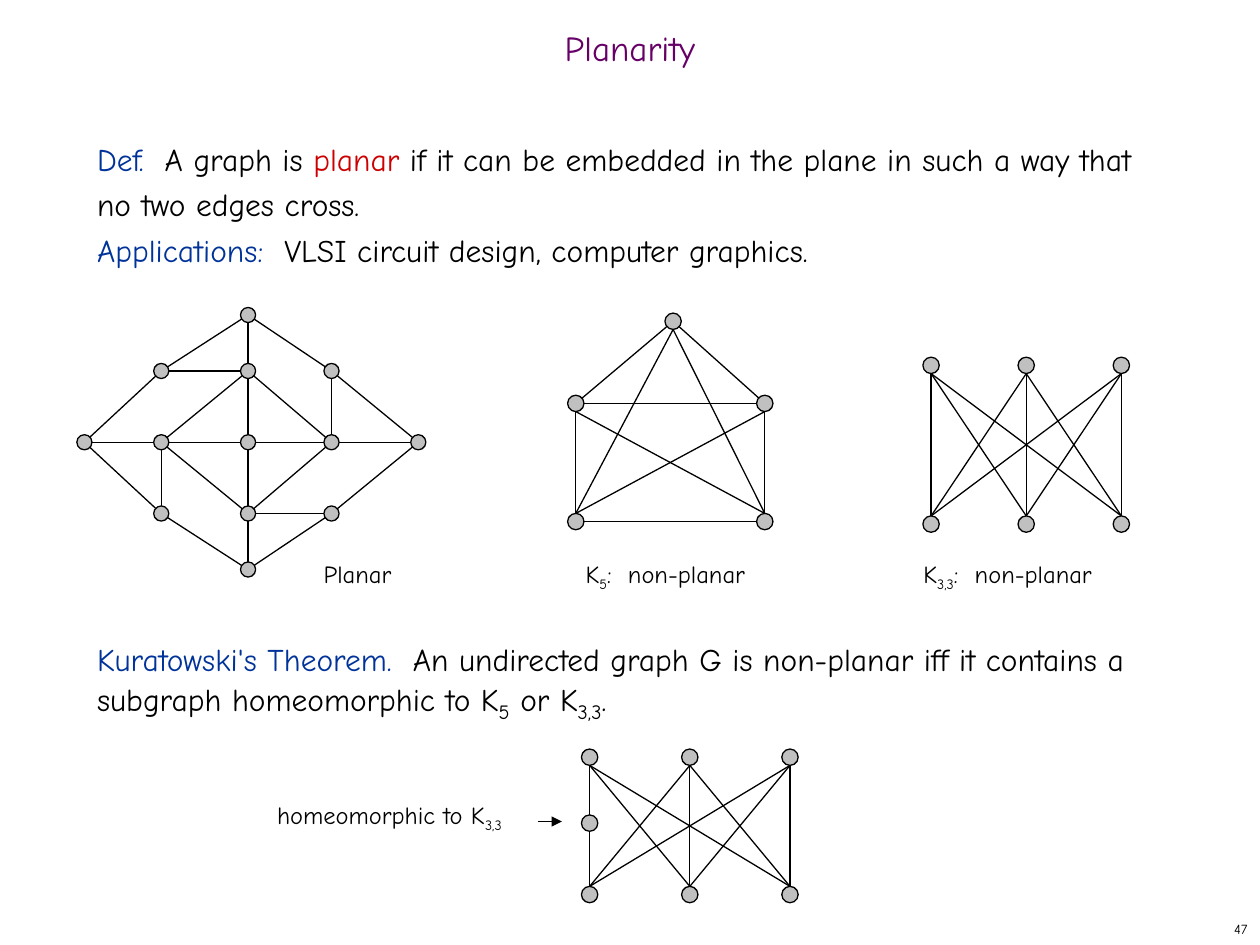
from dataclasses import dataclass
from itertools import product
from math import hypot

from lxml import etree
from pptx import Presentation
from pptx.dml.color import RGBColor
from pptx.enum.shapes import MSO_CONNECTOR, MSO_SHAPE
from pptx.enum.text import MSO_ANCHOR, MSO_AUTO_SIZE, PP_ALIGN
from pptx.oxml.ns import qn
from pptx.util import Inches, Pt

STRAIGHT = MSO_CONNECTOR.STRAIGHT
OVAL = MSO_SHAPE.OVAL
TOP, MIDDLE = MSO_ANCHOR.TOP, MSO_ANCHOR.MIDDLE
LEFT, CENTER, RIGHT = PP_ALIGN.LEFT, PP_ALIGN.CENTER, PP_ALIGN.RIGHT


@dataclass(frozen=True)
class Theme:
    font: str = "Comic Neue"
    ink: str = "000000"
    heading: str = "660066"
    term: str = "003399"
    accent: str = "CC0000"
    node: str = "C0C0C0"
    title_size: int = 20
    body_size: int = 18
    label_size: int = 14
    number_size: int = 8
    line_width: float = 0.75


THEME = Theme()


def set_box(shape, box):
    shape.left, shape.top, shape.width, shape.height = map(Inches, box)


def prepare_frame(frame, anchor=TOP):
    frame.word_wrap = True
    frame.auto_size = MSO_AUTO_SIZE.NONE
    frame.vertical_anchor = anchor


def add_span(para, text, size, color=THEME.ink, subscript=False):
    span = para.add_run()
    span.text = text
    span.font.name = THEME.font
    span.font.size = Pt(size)
    span.font.color.rgb = RGBColor.from_string(color)
    if subscript:
        span.font._element.set("baseline", "-25000")


def add_title(page, box, text):
    title = page.shapes.title
    set_box(title, box)
    prepare_frame(title.text_frame, MIDDLE)
    para = title.text_frame.paragraphs[0]
    para.alignment, para.line_spacing = CENTER, 0.7
    add_span(para, text, THEME.title_size, THEME.heading)


def add_body(page, box, items):
    """Each item is the space before it in points, then its spans."""
    body = page.placeholders[1]
    set_box(body, box)
    frame = body.text_frame
    prepare_frame(frame)
    for index, (space, spans) in enumerate(items):
        para = frame.add_paragraph() if index else frame.paragraphs[0]
        para.alignment, para.line_spacing = LEFT, Pt(26)
        para.space_before = Pt(space)
        properties = para._p.get_or_add_pPr()
        properties.set("marL", "0")
        properties.set("indent", "0")
        etree.SubElement(properties, qn("a:buNone"))
        for span in spans:
            add_span(para, *span)


def add_label(page, box, spans, align=LEFT, anchor=TOP, space=8.8):
    frame = page.shapes.add_textbox(*map(Inches, box)).text_frame
    prepare_frame(frame, anchor)
    para = frame.paragraphs[0]
    para.alignment, para.space_before = align, Pt(space)
    for span in spans:
        add_span(para, *span)


def add_line(shapes, start, end, arrow=False):
    line = shapes.add_connector(STRAIGHT, *map(Inches, (*start, *end)))
    line.line.color.rgb = RGBColor.from_string(THEME.ink)
    line.line.width = Pt(THEME.line_width)
    etree.SubElement(line._element.spPr, qn("a:effectLst"))
    if arrow:
        etree.SubElement(line.line._get_or_add_ln(), qn("a:tailEnd"), type="triangle")


def add_node(shapes, center, radius):
    x, y = center
    node = shapes.add_shape(
        OVAL, *map(Inches, (x - radius, y - radius, 2 * radius, 2 * radius)))
    node.shadow.inherit = False
    node.fill.solid()
    node.fill.fore_color.rgb = RGBColor.from_string(THEME.node)
    node.line.color.rgb = RGBColor.from_string(THEME.ink)
    node.line.width = Pt(THEME.line_width)


def add_graph(page, nodes, radius, rim_edges=(), pole_edges=()):
    """Rim edges stop where they meet a node; pole edges start at its top or bottom."""
    shapes = page.shapes.add_group_shape().shapes
    for first, last in rim_edges:
        (x1, y1), (x2, y2) = nodes[first], nodes[last]
        trim = radius / hypot(x2 - x1, y2 - y1)
        dx, dy = (x2 - x1) * trim, (y2 - y1) * trim
        add_line(shapes, (x1 + dx, y1 + dy), (x2 - dx, y2 - dy))
    for upper, lower in pole_edges:
        (x1, y1), (x2, y2) = nodes[upper], nodes[lower]
        add_line(shapes, (x1, y1 + radius), (x2, y2 - radius))
    for center in nodes.values():
        add_node(shapes, center, radius)


def add_planar_graph(page, box):
    left, top, width, height = box
    columns = [left + width * part for part in (0, 0.23, 0.49, 0.74, 1)]
    rows = [top + height * part for part in (0, 0.22, 0.5, 0.78, 1)]
    row_letters = ((2, "A"), (1, "BCD"), (0, "EFGHI"), (1, "JKL"), (2, "M"))
    nodes = {letter: (columns[start + step], y)
             for y, (start, letters) in zip(rows, row_letters)
             for step, letter in enumerate(letters)}
    edges = ("EF FG GH HI BC KL AC CG GK KM AB BE EJ JM "
             "AD DI IL LM CH HK CF FK FJ DH").split()
    add_graph(page, nodes, 0.06, rim_edges=edges)


def add_k5(page, box):
    left, top, width, height = box
    shoulder, right, bottom = top + 0.41 * height, left + width, top + height
    nodes = {"A": (left + 0.515 * width, top),
             "B": (left, shoulder), "C": (right, shoulder),
             "D": (left, bottom), "E": (right, bottom)}
    add_graph(page, nodes, 0.065, rim_edges=("AB", "AC", "BC", "DE"),
              pole_edges=("AD", "AE", "BD", "BE", "CD", "CE"))


def add_k33(page, box, split=None):
    """split is the height of an extra node on the left edge, as a share of the box."""
    left, top, width, height = box
    columns = [left + width * step / 2 for step in range(3)]
    nodes = dict(zip("ABC", ((x, top) for x in columns)))
    nodes.update(zip("DEF", ((x, top + height) for x in columns)))
    edges = list(product("ABC", "DEF"))
    if split is not None:
        nodes["M"] = (left, top + split * height)
        edges[:1] = ["AM", "MD"]
    add_graph(page, nodes, 0.065, pole_edges=edges)


def build_planarity(deck):
    page = deck.slides.add_slide(deck.slide_layouts[1])
    size, label = THEME.body_size, THEME.label_size
    add_label(page, (7.92, 7.25, 2.08, 0.25), [("47", THEME.number_size)],
              RIGHT, MIDDLE, 0)
    add_title(page, (0, 0.17, 10, 0.5), "Planarity")
    add_body(page, (0.67, 1, 8.58, 5.92), [
        (0, [("Def.  ", size, THEME.term), ("A graph is ", size),
             ("planar", size, THEME.accent),
             (" if it can be embedded in the plane in such a way that "
              "no two edges cross.", size)]),
        (0, [("Applications:  ", size, THEME.term),
             ("VLSI circuit design, computer graphics.", size)]),
        (208, [("Kuratowski's Theorem.  ", size, THEME.term),
               ("An undirected graph G is non-planar iff it contains a "
                "subgraph homeomorphic to K", size),
               ("5", THEME.title_size, THEME.ink, True), (" or K", size),
               ("3,3", THEME.title_size, THEME.ink, True), (".", size)]),
    ])
    add_planar_graph(page, (0.67, 2.5, 2.65, 2.02))
    add_k5(page, (4.57, 2.55, 1.5, 1.59))
    add_k33(page, (7.39, 2.9, 1.51, 1.26))
    add_k33(page, (4.68, 6.01, 1.59, 1.09), split=0.48)

    add_label(page, (2.47, 4.39, 1.68, 0.33), [("Planar", label)])
    for box, index in (((4.55, 4.39, 2.13, 0.37), "5"),
                       ((7.23, 4.39, 2.41, 0.37), "3,3")):
        add_label(page, box, [("K", label), (index, label, THEME.ink, True),
                              (":  non-planar", label)])
    add_label(page, (2.1, 6.3, 2.22, 0.37),
              [("homeomorphic to K", label), ("3,3", label, THEME.ink, True)])
    add_line(page.shapes, (4.27, 6.52), (4.46, 6.52), arrow=True)


def main():
    deck = Presentation()
    deck.slide_width, deck.slide_height = Inches(10), Inches(7.5)
    build_planarity(deck)
    deck.save("out.pptx")


if __name__ == "__main__":
    main()
